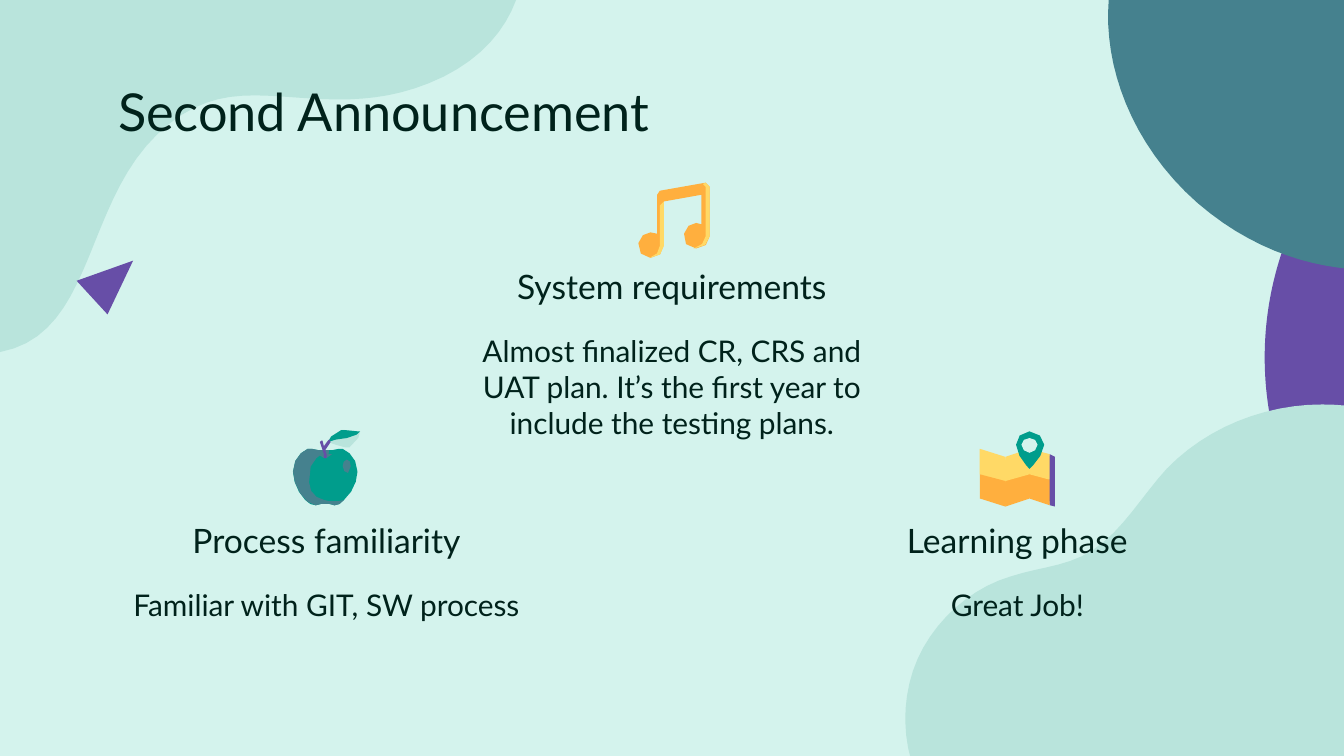
from math import dist

from pptx import Presentation
from pptx.dml.color import RGBColor
from pptx.enum.shapes import MSO_SHAPE
from pptx.enum.text import MSO_ANCHOR, PP_ALIGN
from pptx.util import Cm, Pt

INCH = 2.54  # centimetres; all layout numbers below are in inches

COLORS = {
    "mint": "D4F3ED", "sage": "B9E4DC", "teal": "45818E", "green": "009D8C",
    "purple": "674EA7", "yellow": "FFD966", "orange": "FFAF3E", "ink": "00221B",
}


def draw_outline(group, color, path):
    """Draw a closed path: a start point, then L (points) and C (cubic curves)."""
    points, mode, numbers = [], "L", []
    for token in path.split():
        if token in "LC":
            mode = token
            continue
        numbers.append(float(token))
        if len(numbers) < (6 if mode == "C" else 2):
            continue
        if mode == "L":
            points.append(tuple(numbers))
        else:
            curve = [points[-1], *zip(numbers[::2], numbers[1::2])]
            steps = 1 + round(9 * dist(curve[0], curve[3]))  # longer curves get more points
            for step in range(1, steps + 1):
                t = step / steps
                weights = ((1 - t) ** 3, 3 * t * (1 - t) ** 2, 3 * t * t * (1 - t), t ** 3)
                points.append(tuple(sum(w * point[axis] for w, point in zip(weights, curve))
                                    for axis in (0, 1)))
        numbers = []
    corners = [(Cm(x * INCH), Cm(y * INCH)) for x, y in points]
    builder = group.shapes.build_freeform(*corners[0])
    builder.add_line_segments(corners[1:], close=True)
    paint(builder.convert_to_shape(), color)


def paint(shape, color):
    shape.shadow.inherit = False
    shape.fill.solid()
    shape.fill.fore_color.rgb = RGBColor.from_string(COLORS[color])
    shape.line.fill.background()


deck = Presentation()
deck.slide_width, deck.slide_height = Cm(25.4), Cm(14.29)
page = deck.slides.add_slide(deck.slide_layouts[6])
page.background.fill.solid()
page.background.fill.fore_color.rgb = RGBColor.from_string(COLORS["mint"])

# Background decoration, back to front
backdrop = page.shapes.add_group_shape()
draw_outline(backdrop, "sage", """0 2.62 C 0.7 2.49 0.62 1.53 1.17 1 1.42 0.76 1.65 0.71 1.89 0.71
    2.09 0.71 2.29 0.74 2.52 0.74 2.72 0.74 2.94 0.72 3.19 0.62 3.54 0.48 3.75 0.25 3.84 0 L 0 0""")
disc = backdrop.shapes.add_shape(MSO_SHAPE.OVAL, Cm(9.41 * INCH), Cm(0.2 * INCH),
                                 Cm(4.92 * INCH), Cm(4.92 * INCH))
paint(disc, "purple")
draw_outline(backdrop, "sage", """9.84 3.01 C 9.41 3.01 8.98 3.18 8.68 3.49
    8.47 3.72 8.32 4.01 8.05 4.14 7.88 4.22 7.7 4.23 7.52 4.29 7.25 4.37 7.01 4.57 6.87 4.82
    6.73 5.07 6.7 5.38 6.78 5.66 L 13.15 5.61 13.22 5.58
    C 13.33 5.27 13.24 4.93 13.06 4.65
    12.95 4.47 12.8 4.32 12.61 4.24 12.48 4.19 12.34 4.18 12.21 4.16
    12.01 4.12 11.81 4.05 11.63 3.95 11.22 3.72 10.91 3.34 10.48 3.15
    10.28 3.05 10.06 3.01 9.84 3.01""")
draw_outline(backdrop, "teal", """10.23 2.01 C 10.34 2.01 10.45 2 10.56 1.98
    L 10.71 1.95 10.71 0 8.25 0
    C 8.21 0.48 8.41 1.07 8.91 1.51 9.35 1.89 9.82 2.01 10.23 2.01""")
draw_outline(backdrop, "purple", "0.99 1.94 0.57 2.09 0.8 2.34")

# Icons: each is a group of coloured outlines, back to front
map_icon = [
    ("yellow", "7.29 3.34 7.29 3.53 7.52 3.64 7.48 3.4"),
    ("orange", "7.29 3.53 7.29 3.71 7.48 3.77 7.51 3.68 7.48 3.58"),
    ("purple", "7.79 3.53 7.81 3.76 7.85 3.77 7.85 3.58"),
    ("orange", "7.61 3.48 7.66 3.71 7.81 3.76 7.81 3.57"),
    ("orange", "7.57 3.52 7.48 3.58 7.48 3.77 7.66 3.71 7.66 3.53"),
    ("purple", "7.81 3.38 7.79 3.48 7.81 3.57 7.85 3.58 7.85 3.4"),
    ("yellow", "7.66 3.34 7.63 3.43 7.66 3.53 7.81 3.57 7.81 3.38"),
    ("yellow", "7.66 3.34 7.48 3.4 7.48 3.58 7.66 3.53"),
    ("green", """7.66 3.21 C 7.6 3.21 7.56 3.26 7.56 3.31 7.56 3.39 7.66 3.49 7.66 3.49
        7.66 3.49 7.77 3.39 7.77 3.31 7.77 3.26 7.72 3.21 7.66 3.21"""),
    ("mint", """7.66 3.26 C 7.63 3.26 7.6 3.28 7.6 3.31 7.6 3.34 7.63 3.37 7.66 3.37
        7.69 3.37 7.72 3.34 7.72 3.31 7.72 3.28 7.69 3.26 7.66 3.26"""),
]
apple_icon = [
    ("green", """2.32 3.34 L 2.29 3.34 C 2.24 3.36 2.18 3.42 2.18 3.51
        2.18 3.58 2.22 3.67 2.27 3.72 2.3 3.75 2.32 3.76 2.35 3.76 L 2.39 3.75 2.45 3.75 2.49 3.76
        C 2.51 3.76 2.54 3.75 2.56 3.72 2.62 3.67 2.66 3.58 2.66 3.51 2.66 3.42 2.6 3.36 2.55 3.34
        L 2.52 3.34 2.47 3.35 2.37 3.35"""),
    ("teal", """2.32 3.34 L 2.29 3.34 C 2.24 3.36 2.18 3.42 2.18 3.51
        2.18 3.61 2.27 3.76 2.35 3.76 L 2.39 3.75 2.45 3.75 2.49 3.76
        C 2.51 3.76 2.54 3.75 2.56 3.72 2.53 3.73 2.51 3.73 2.48 3.73 2.46 3.73 2.43 3.73 2.41 3.72
        2.35 3.71 2.3 3.66 2.3 3.59 2.28 3.44 2.38 3.39 2.38 3.39
        L 2.42 3.4 2.44 3.4 2.45 3.35 2.37 3.35"""),
    ("sage", """2.56 3.2 L 2.54 3.2 C 2.47 3.21 2.44 3.29 2.44 3.29
        2.47 3.29 2.52 3.33 2.57 3.33 L 2.6 3.33 C 2.67 3.3 2.68 3.21 2.68 3.21 L 2.66 3.21"""),
    ("green", """2.56 3.2 L 2.54 3.2 C 2.47 3.21 2.44 3.29 2.44 3.29
        2.46 3.28 2.53 3.26 2.58 3.26 2.64 3.26 2.68 3.21 2.68 3.21 L 2.66 3.21"""),
    ("teal", """2.58 3.42 C 2.56 3.42 2.55 3.45 2.55 3.47 2.55 3.5 2.57 3.52 2.59 3.52
        2.6 3.52 2.62 3.5 2.61 3.47 2.61 3.44 2.6 3.42 2.58 3.42"""),
    ("teal", "2.37 3.38 2.41 3.41 2.43 3.41 2.47 3.38"),
    ("purple", """2.45 3.27 2.44 3.28 2.41 3.32 2.4 3.28 2.39 3.28 2.38 3.29
        2.41 3.38 2.41 3.41 2.43 3.41 2.43 3.38 2.42 3.35 2.46 3.29"""),
]
music_icon = [
    ("orange", """5.25 1.36 L 4.91 1.42 4.89 1.45 4.89 1.74
        C 4.87 1.73 4.86 1.73 4.84 1.73 4.8 1.73 4.76 1.76 4.75 1.81 4.74 1.87 4.78 1.92 4.84 1.92
        4.9 1.92 4.94 1.88 4.94 1.82 L 4.94 1.5 5.22 1.45 5.22 1.67
        C 5.21 1.66 5.2 1.66 5.18 1.66 5.14 1.66 5.1 1.69 5.09 1.74 5.07 1.8 5.12 1.85 5.18 1.85
        5.24 1.85 5.28 1.81 5.28 1.76 L 5.28 1.39"""),
    ("yellow", """4.94 1.5 4.93 1.51 4.91 1.53 4.91 1.83
        C 4.91 1.87 4.88 1.91 4.83 1.92 4.9 1.92 4.94 1.88 4.94 1.83"""),
    ("yellow", """5.25 1.36 5.23 1.37 5.25 1.39 5.25 1.76
        C 5.25 1.8 5.21 1.84 5.16 1.85 5.23 1.85 5.28 1.81 5.28 1.76 L 5.28 1.39"""),
]
for icon in (map_icon, apple_icon, music_icon):
    group = page.shapes.add_group_shape()
    for color, path in icon:
        draw_outline(group, color, path)

# Title, then a heading with a body below it for each topic
texts = [("Second Announcement", 0.78, 0.49, 7.42, 0.63, 28, PP_ALIGN.LEFT, MSO_ANCHOR.TOP)]
topics = [
    (3.35, 1.9, "System requirements",
     "Almost finalized CR, CRS and UAT plan. It’s the first year to include the testing plans."),
    (0.78, 3.79, "Process familiarity", "Familiar with GIT, SW process"),
    (5.92, 3.79, "Learning phase", "Great Job!"),
]
for left, top, heading, body in topics:
    texts.append((heading, left, top, 3.3, 0.48, 18, PP_ALIGN.CENTER, MSO_ANCHOR.BOTTOM))
    texts.append((body, left, top + 0.48, 3.3, 0.63, 16, PP_ALIGN.CENTER, MSO_ANCHOR.TOP))

for words, left, top, width, height, size, align, anchor in texts:
    box = page.shapes.add_textbox(*(Cm(n * INCH) for n in (left, top, width, height)))
    frame = box.text_frame
    frame.word_wrap = True
    frame.vertical_anchor = anchor
    frame.margin_left = frame.margin_right = frame.margin_top = frame.margin_bottom = Cm(0.25)
    para = frame.paragraphs[0]
    para.text = words
    para.alignment = align
    para.font.name = "Lato"
    para.font.size = Pt(size)
    para.font.color.rgb = RGBColor.from_string(COLORS["ink"])

deck.save("out.pptx")
